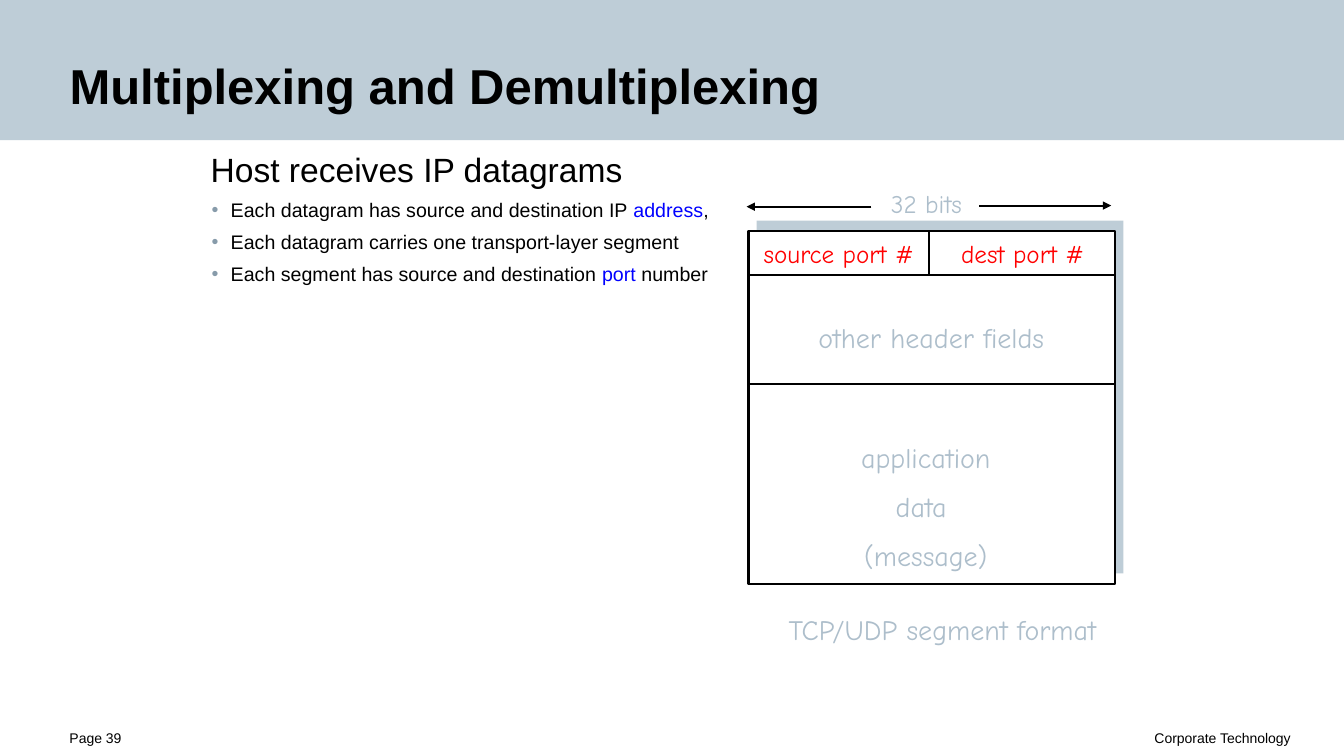
"""Build the slide on multiplexing, demultiplexing and the segment format."""
from dataclasses import dataclass

from lxml import etree
from pptx import Presentation
from pptx import util as u
from pptx.dml.color import RGBColor
from pptx.enum import shapes, text
from pptx.oxml import ns

TITLE = "Multiplexing and Demultiplexing"
HEADING = "Host receives IP datagrams"
BULLETS = [
    [("Each datagram has source and destination IP ", "ink"), ("address", "link"), (",", "ink")],
    [("Each datagram carries one transport-layer segment", "ink")],
    [("Each segment has source and destination ", "ink"), ("port", "link"), (" number", "ink")],
]
FOOTERS = [
    ("Page 39", (0, 722, 193, 28), (69, 0, 0, 13), text.PP_ALIGN.LEFT),
    ("Corporate Technology", (414, 722, 920, 28), (0, 0, 53, 13), text.PP_ALIGN.RIGHT),
]
LABELS = [
    (["source port #"], (740, 232, 185, 50), 18, "field"),
    (["dest port #"], (935, 232, 160, 50), 18, "field"),
    (["32 bits"], (867, 182, 105, 50), 18, "label"),
    (["application", "data ", "(message)"], (839, 432, 160, 145), 20, "label"),
    (["other header fields"], (786, 313, 277, 44), 20, "label"),
    (["TCP/UDP segment format"], (758, 603, 355, 43), 20, "label"),
]
SLIDE = (1334, 750)
BAND = (0, 0, 1334, 139)
BODY = (209, 148, 508, 550)
SEGMENT = (743, 229, 364, 350)
BACKING_SHIFT = (8, -10)
PORTS_HEIGHT, HEADER_HEIGHT, SOURCE_WIDTH = 44, 152, 179
WIDTH_ARROWS = [(972, 204, 1103, 204), (865, 205, 741, 205)]


@dataclass(frozen=True)
class Theme:
    """Colours, fonts and type sizes of the slide."""
    ink: str = "000000"
    paper: str = "FFFFFF"
    band: str = "BECDD7"
    bullet: str = "879BAA"
    link: str = "0000FF"
    field: str = "FF0000"
    label: str = "ADBECB"
    sans: str = "Arial"
    hand: str = "Comic Neue"
    title: int = 35
    heading: int = 24
    item: int = 14
    footer: int = 10
    stroke: float = 1.5


THEME = Theme()


def px(value):
    return u.Emu(value * 9144)


def colour(name):
    return RGBColor.from_string(getattr(THEME, name))


def style(font, size, ink="ink", face=THEME.sans, bold=False):
    font.name, font.size, font.bold = face, u.Pt(size), bold
    font.color.rgb = colour(ink)


def place(box, area):
    box.left, box.top, box.width, box.height = map(px, area)


def set_frame(frame, insets, anchor=text.MSO_ANCHOR.TOP, wrap=True):
    frame.margin_left, frame.margin_top, frame.margin_right, frame.margin_bottom = map(px, insets)
    frame.vertical_anchor, frame.word_wrap = anchor, wrap
    frame.auto_size = text.MSO_AUTO_SIZE.NONE


def add_rectangle(page, area, fill, outlined=False):
    box = page.shapes.add_shape(shapes.MSO_SHAPE.RECTANGLE, *map(px, area))
    box.shadow.inherit = False
    box.fill.solid()
    box.fill.fore_color.rgb = colour(fill)
    if outlined:
        box.line.color.rgb, box.line.width = colour("ink"), u.Pt(THEME.stroke)
    else:
        box.line.fill.background()


def add_line(page, ends, arrow=False):
    line = page.shapes.add_connector(shapes.MSO_CONNECTOR.STRAIGHT, *map(px, ends))
    line.line.color.rgb, line.line.width = colour("ink"), u.Pt(THEME.stroke)
    if arrow:
        etree.SubElement(line.line._get_or_add_ln(), ns.qn("a:tailEnd"), type="triangle")
    etree.SubElement(line._element.spPr, ns.qn("a:effectLst"))


def set_bullet(para, indent=0, hanging=0, mark=None):
    props = para._p.get_or_add_pPr()
    props.set("marL", str(px(indent)))
    props.set("indent", str(px(-hanging)))
    if mark:
        tint = etree.SubElement(props, ns.qn("a:buClr"))
        etree.SubElement(tint, ns.qn("a:srgbClr"), val=THEME.bullet)
        etree.SubElement(props, ns.qn("a:buChar"), char=mark)
    else:
        etree.SubElement(props, ns.qn("a:buNone"))


def fill_title(title):
    place(title, BAND)
    title.fill.solid()
    title.fill.fore_color.rgb = colour("band")
    set_frame(title.text_frame, (69, 43, 232, 26), text.MSO_ANCHOR.BOTTOM)
    para = title.text_frame.paragraphs[0]
    para.text, para.alignment = TITLE, text.PP_ALIGN.LEFT
    style(para.font, THEME.title, bold=True)


def fill_body(body):
    place(body, BODY)
    frame = body.text_frame
    set_frame(frame, (0, 0, 0, 0))
    heading = frame.paragraphs[0]
    heading.text, heading.space_before = HEADING, u.Pt(6)
    set_bullet(heading)
    style(heading.font, THEME.heading)
    for spans in BULLETS:
        para = frame.add_paragraph()
        para.level, para.space_before = 1, u.Pt(6)
        set_bullet(para, 20, 19, "•")
        style(para.font, THEME.item)
        for words, ink in spans:
            span = para.add_run()
            span.text = words
            span.font.color.rgb = colour(ink)


def add_label(page, lines, area, size, ink):
    frame = page.shapes.add_textbox(*map(px, area)).text_frame
    set_frame(frame, (10, 5, 10, 5), wrap=False)
    for index, words in enumerate(lines):
        para = frame.add_paragraph() if index else frame.paragraphs[0]
        para.text, para.alignment = words, text.PP_ALIGN.CENTER
        para.space_before = u.Pt(11 if index else 0)
        style(para.font, size, ink, THEME.hand)


def add_footer(page, words, area, insets, alignment):
    frame = page.shapes.add_textbox(*map(px, area)).text_frame
    set_frame(frame, insets)
    para = frame.paragraphs[0]
    para.text, para.alignment, para.line_spacing = words, alignment, 1.1
    style(para.font, THEME.footer)


def add_segment(page):
    left, top, width, height = SEGMENT
    shift_x, shift_y = BACKING_SHIFT
    add_rectangle(page, (left + shift_x, top + shift_y, width, height), "band")
    add_rectangle(page, SEGMENT, "paper", outlined=True)
    for depth in (PORTS_HEIGHT, HEADER_HEIGHT):
        add_line(page, (left, top + depth, left + width, top + depth))
    split = left + SOURCE_WIDTH
    add_line(page, (split, top + PORTS_HEIGHT, split, top))
    for ends in WIDTH_ARROWS:
        add_line(page, ends, arrow=True)
    for label in LABELS:
        add_label(page, *label)


def main():
    deck = Presentation()
    deck.slide_width, deck.slide_height = map(px, SLIDE)
    page = deck.slides.add_slide(deck.slide_layouts[1])
    fill_title(page.shapes.title)
    fill_body(page.placeholders[1])
    for footer in FOOTERS:
        add_footer(page, *footer)
    add_segment(page)
    deck.save("out.pptx")


if __name__ == "__main__":
    main()
